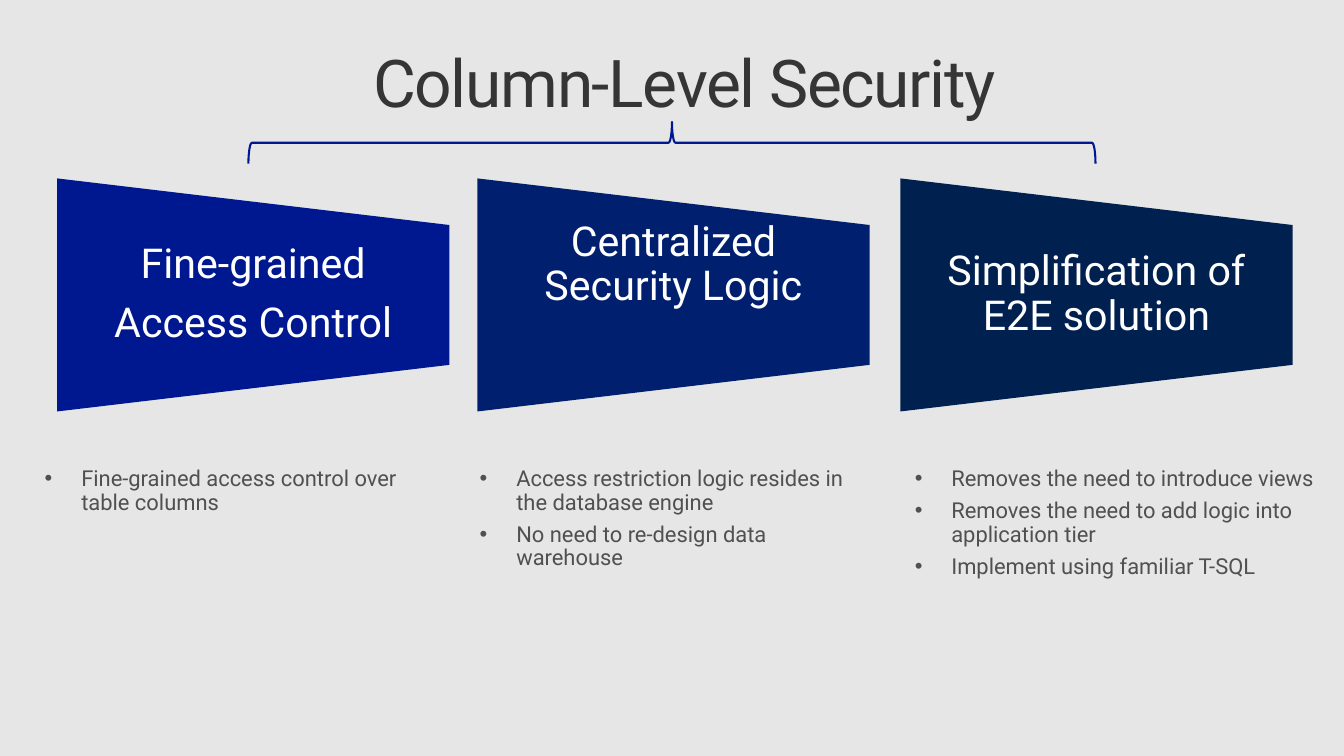
from dataclasses import dataclass

import pptx
import pptx.dml.color
import pptx.enum.shapes
import pptx.enum.text
import pptx.oxml
import pptx.oxml.ns
import pptx.shapes.autoshape
import pptx.util

Cm = pptx.util.Cm
Pt = pptx.util.Pt
Align = pptx.enum.text.PP_ALIGN
Anchor = pptx.enum.text.MSO_ANCHOR
AutoSize = pptx.enum.text.MSO_AUTO_SIZE
Preset = pptx.enum.shapes.MSO_SHAPE

CARD_WIDTH, CARD_HEIGHT, CARD_MIDDLE = 10.08, 5.99, 7.58
LABEL_HEIGHT = 3.58
BULLET_LEFT, BULLET_TOP, BULLET_STEP = 0.64, 11.61, 11.18
BULLET_INDENT = 0.94


@dataclass(frozen=True)
class Benefit:
    left: float
    fill: str
    heading: list[str]
    points: list[str]
    list_width: float
    list_height: float
    heading_lift: float = 0


BENEFITS = [
    Benefit(1.47, "00188F", ["Fine-grained", "Access Control"],
            ["Fine-grained access control over table columns"], 10.95, 2.06),
    Benefit(12.27, "00206F", ["Centralized Security Logic"],
            ["Access restriction logic resides in the database engine",
             "No need to re-design data warehouse"], 10.95, 4.32, 1.54),
    Benefit(23.14, "002050", ["Simplification of E2E solution"],
            ["Removes the need to introduce views",
             "Removes the need to add logic into application tier",
             "Implement using familiar T-SQL"], 11.43, 3.71),
]


def colour(value: str) -> pptx.dml.color.RGBColor:
    return pptx.dml.color.RGBColor.from_string(value)


def add_bullet(para) -> None:
    properties = para._p.get_or_add_pPr()
    properties.set("marL", str(Cm(BULLET_INDENT)))
    properties.set("indent", str(-Cm(BULLET_INDENT)))
    namespace = pptx.oxml.ns.nsdecls("a")
    for markup in (f'<a:buFont {namespace} typeface="Arial"/>',
                   f'<a:buChar {namespace} char="•"/>'):
        properties.append(pptx.oxml.parse_xml(markup))


def write_text(box, lines: list[str], *, size: float, ink: str,
               insets: tuple[float, float, float, float],
               align=Align.LEFT, anchor=Anchor.TOP, after: float = 0,
               bullets: bool = False, tracking: float = 0,
               auto_size=AutoSize.NONE) -> None:
    frame = box.text_frame
    frame.word_wrap = True
    frame.auto_size = auto_size
    frame.vertical_anchor = anchor
    (frame.margin_left, frame.margin_top,
     frame.margin_right, frame.margin_bottom) = (Cm(inset) for inset in insets)
    for index, line in enumerate(lines):
        para = frame.add_paragraph() if index else frame.paragraphs[0]
        if bullets:
            add_bullet(para)
        para.alignment = align
        para.line_spacing = 0.9
        para.space_before = Pt(0)
        para.space_after = Pt(after)
        span = para.add_run()
        span.text = line
        span.font.name = "Roboto"
        span.font.size = Pt(size)
        span.font.color.rgb = colour(ink)
        if tracking:
            span.font._element.set("spc", str(int(tracking * 100)))


def add_turned_shape(shapes, preset, centre_x: float, centre_y: float,
                     width: float, height: float) -> pptx.shapes.autoshape.Shape:
    shape = shapes.add_shape(preset, Cm(centre_x - height / 2), Cm(centre_y - width / 2),
                             Cm(height), Cm(width))
    shape.rotation = 270
    shape.shadow.inherit = False
    return shape


def add_card(page, benefit: Benefit) -> None:
    group = page.shapes.add_group_shape()
    card = add_turned_shape(group.shapes, Preset.FLOWCHART_MANUAL_OPERATION,
                            benefit.left + CARD_WIDTH / 2, CARD_MIDDLE,
                            CARD_WIDTH, CARD_HEIGHT)
    card.fill.solid()
    card.fill.fore_color.rgb = colour(benefit.fill)
    card.line.fill.background()
    label = group.shapes.add_textbox(Cm(benefit.left), Cm(CARD_MIDDLE - LABEL_HEIGHT / 2),
                                     Cm(CARD_WIDTH), Cm(LABEL_HEIGHT))
    write_text(label, benefit.heading, size=30, ink="FFFFFF",
               insets=(0.53, 0, 0.53, benefit.heading_lift),
               align=Align.CENTER, anchor=Anchor.MIDDLE, after=10.5)


def add_points(page, column: int, benefit: Benefit) -> None:
    box = page.shapes.add_textbox(Cm(BULLET_LEFT + column * BULLET_STEP), Cm(BULLET_TOP),
                                  Cm(benefit.list_width), Cm(benefit.list_height))
    write_text(box, benefit.points, size=16, ink="505050",
               insets=(0.51, 0.41, 0.51, 0.41), after=6, bullets=True,
               auto_size=AutoSize.SHAPE_TO_FIT_TEXT)


def add_brace(page) -> None:
    brace = add_turned_shape(page.shapes, Preset.LEFT_BRACE, 17.27, 3.67, 21.77, 1.07)
    brace._element.spPr.xfrm.set("flipH", "1")
    brace.fill.background()
    brace.line.color.rgb = colour("00188F")
    brace.line.width = Pt(1.5)


def main() -> None:
    deck = pptx.Presentation()
    deck.slide_width, deck.slide_height = Cm(34.54), Cm(19.43)
    page = deck.slides.add_slide(deck.slide_layouts.get_by_name("Title Only"))
    page.background.fill.solid()
    page.background.fill.fore_color.rgb = colour("E6E6E6")

    title = page.shapes.title
    title.left, title.top, title.width, title.height = Cm(1.47), Cm(1.04), Cm(32.66), Cm(2.13)
    write_text(title, ["Column-Level Security"], size=48, ink="353535",
               insets=(0, 0.25, 0.41, 0.25), align=Align.CENTER, tracking=-1)

    add_brace(page)
    for column, benefit in enumerate(BENEFITS):
        add_card(page, benefit)
        add_points(page, column, benefit)
    deck.save("out.pptx")


if __name__ == "__main__":
    main()
